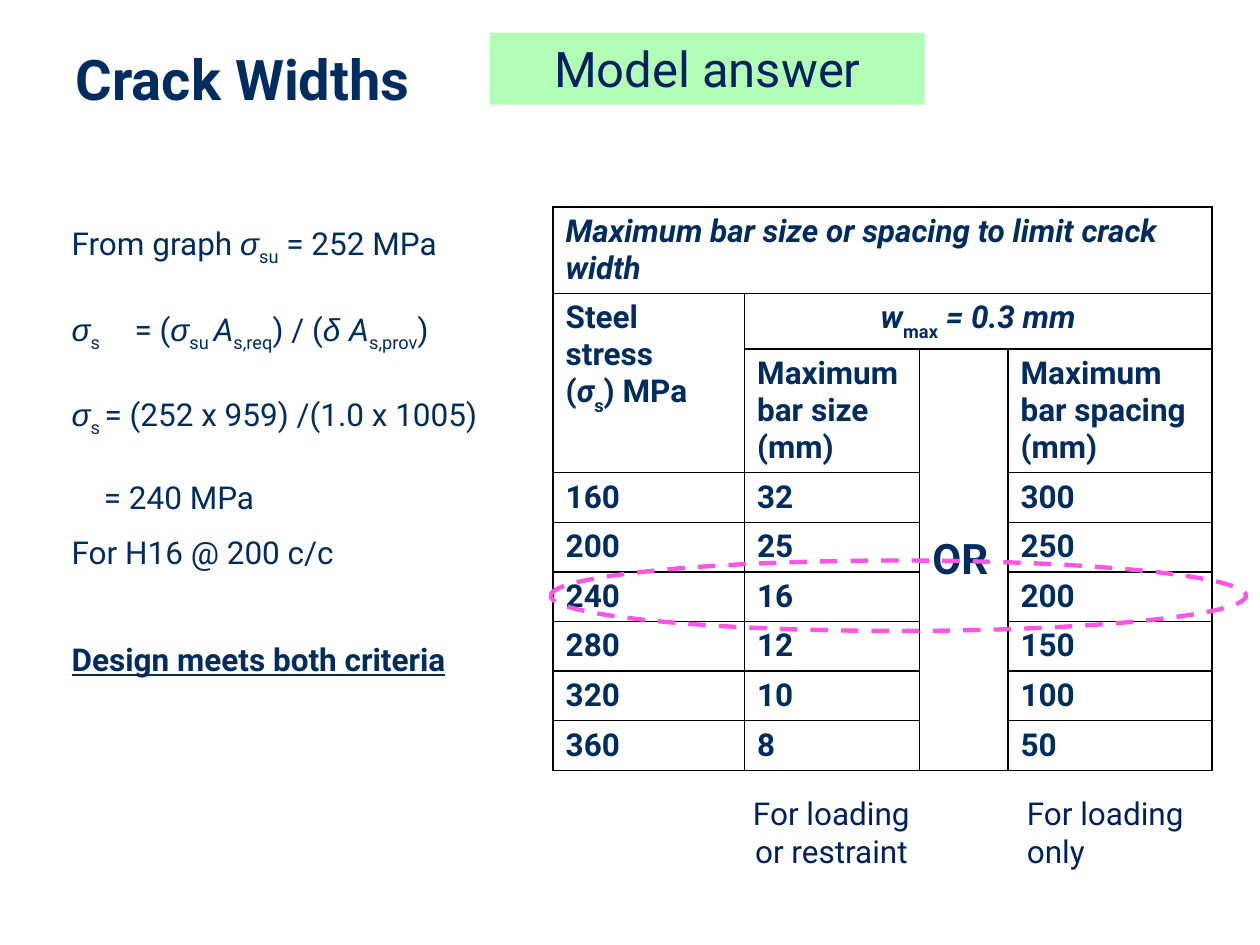
from lxml.etree import SubElement
from pptx import Presentation
from pptx.dml.color import RGBColor
from pptx.enum.dml import MSO_LINE as Dash
from pptx.enum.shapes import MSO_SHAPE as Shape
from pptx.enum.text import MSO_ANCHOR as Anchor, MSO_AUTO_SIZE as AutoSize, PP_ALIGN as Align
from pptx.oxml.ns import qn
from pptx.util import Cm, Pt

NAVY, BLUE, GREEN, PINK, BLACK = "002C5F", "002060", "B1FDB5", "FB55E3", "000000"
GREEK = {"font": "Arial", "italic": True}
ITALIC = {"italic": True}
SUB = {"baseline": -25}
LOW = {"baseline": -30}
LOW_ITALIC = {"baseline": -30, "italic": False}


def color(hex_string):
    return RGBColor.from_string(hex_string)


class SlideBuilder:
    """Holds the shared text style and the slide being filled."""

    font, size = "Roboto", 18

    def __init__(self, slide):
        self.slide = slide

    def add_runs(self, paragraph, runs, ink=NAVY, size=size, align=Align.LEFT, **common):
        """Add the runs, each a string or a (string, style) pair."""
        paragraph.alignment = align
        for item in [runs] if isinstance(runs, str) else runs:
            text, own = (item, {}) if isinstance(item, str) else item
            style = {**common, **own}
            run = paragraph.add_run()
            run.text = text
            run.font.name = style.get("font", self.font)
            run.font.size = Pt(size)
            run.font.color.rgb = color(ink)
            run.font.bold = style.get("bold", False)
            run.font.italic = style.get("italic", False)
            run.font.underline = style.get("underline", False)
            if "baseline" in style:
                run.font._element.set("baseline", str(style["baseline"] * 1000))

    def place(self, shape, left, top, width, height):
        shape.left, shape.top = Cm(left), Cm(top)
        shape.width, shape.height = Cm(width), Cm(height)
        frame = shape.text_frame
        frame.word_wrap, frame.auto_size = True, AutoSize.NONE
        frame.vertical_anchor = Anchor.TOP
        return frame

    def title(self, text, *box):
        frame = self.place(self.slide.shapes.title, *box)
        self.add_runs(frame.paragraphs[0], text, size=32, bold=True)

    def body(self, lines, *box):
        """Each line is (runs, line spacing, points before, left margin, tab, style)."""
        frame = self.place(self.slide.placeholders[1], *box)
        for number, (runs, spacing, before, margin, tab, style) in enumerate(lines):
            paragraph = frame.add_paragraph() if number else frame.paragraphs[0]
            paragraph.line_spacing, paragraph.space_before = spacing, Pt(before)
            props = paragraph._p.get_or_add_pPr()
            props.set("marL", str(Cm(margin)))
            props.set("indent", "0")
            SubElement(props, qn("a:buNone"))
            if tab:
                stops = SubElement(props, qn("a:tabLst"))
                SubElement(stops, qn("a:tab"), pos=str(Cm(tab)), algn="l")
            self.add_runs(paragraph, runs, **style)

    def caption(self, text, align, *box):
        frame = self.place(self.slide.shapes.add_textbox(0, 0, 0, 0), *box)
        self.add_runs(frame.paragraphs[0], text, ink=BLUE, align=align)

    def badge(self, text, *box):
        shape = self.slide.shapes.add_shape(Shape.RECTANGLE, 0, 0, 0, 0)
        frame = self.place(shape, *box)
        shape.shadow.inherit = False
        shape.fill.solid()
        shape.fill.fore_color.rgb = color(GREEN)
        shape.line.fill.background()
        self.add_runs(frame.paragraphs[0], text, ink=BLUE, size=28, align=Align.CENTER)

    def highlight(self, *box):
        ring = self.slide.shapes.add_shape(Shape.OVAL, *map(Cm, box))
        ring.shadow.inherit = False
        ring.fill.background()
        ring.line.color.rgb = color(PINK)
        ring.line.width = Pt(2.5)
        ring.line.dash_style = Dash.DASH

    def table(self, left, top, widths, heights):
        frame = self.slide.shapes.add_table(
            len(heights), len(widths), Cm(left), Cm(top), Cm(sum(widths)), Cm(sum(heights)))
        table = frame.table
        table.first_row = table.horz_banding = False
        for column, width in zip(table.columns, widths):
            column.width = Cm(width)
        for row, height in zip(table.rows, heights):
            row.height = Cm(height)
        for cell in table.iter_cells():
            self.border(cell)
            cell.fill.background()
        return table

    def border(self, cell):
        props = cell._tc.get_or_add_tcPr()
        for side in ("lnL", "lnR", "lnT", "lnB"):
            line = SubElement(props, qn(f"a:{side}"), w=str(Pt(1)))
            SubElement(SubElement(line, qn("a:solidFill")), qn("a:srgbClr"), val=BLACK)

    def cell(self, cell, *paragraphs, **style):
        frame = cell.text_frame
        for number, runs in enumerate(paragraphs):
            paragraph = frame.add_paragraph() if number else frame.paragraphs[0]
            self.add_runs(paragraph, runs, bold=True, **style)


def main():
    deck = Presentation()
    deck.slide_width, deck.slide_height = Cm(25.4), Cm(19.05)
    builder = SlideBuilder(deck.slides.add_slide(deck.slide_layouts[1]))

    # Heading
    builder.title("Crack Widths", 1.27, 0.76, 22.86, 1.42)

    # Worked calculation
    sigma = ("σ", GREEK)
    builder.body([
        (["From graph ", sigma, ("su", SUB), " = 252 MPa"], 1.5, 0, 0, None, {}),
        ([sigma, ("s \t", SUB), "= (", sigma, ("su ", SUB), ("A", ITALIC), ("s,req", SUB),
          ") / (", ("δ ", GREEK), ("A", ITALIC), ("s,prov", SUB), ")"], 1.5, 12, 0, 3.02, {}),
        ([sigma, ("s ", SUB), "= (252 x 959) /(1.0 x 1005)"], 1.5, 12, 0, None, {}),
        ("= 240 MPa", 1.5, 12, 0.65, None, {}),
        ("For H16 @ 200 c/c", 1, 10, 0, None, {}),
        ("Design meets both criteria", 1, 39.5, 0, None, {"bold": True, "underline": True}),
    ], 1.19, 3.96, 9.93, 12.01)

    # Limits table: headings
    limits = builder.table(11.15, 4.17, [3.86, 3.53, 1.78, 4.11], [1.73, 1.12, 2.49] + [1] * 6)
    for first, last in [((0, 0), (0, 3)), ((1, 0), (2, 0)), ((1, 1), (1, 3)), ((2, 2), (8, 2))]:
        limits.cell(*first).merge(limits.cell(*last))
    builder.cell(limits.cell(0, 0), "Maximum bar size or spacing to limit crack width", italic=True)
    builder.cell(limits.cell(1, 0), "Steel stress", ["(", ("σ", ITALIC), ("s", LOW), ") MPa"])
    builder.cell(limits.cell(1, 1), ["w", ("max", LOW_ITALIC), " = 0.3 mm"],
                 italic=True, align=Align.CENTER)
    builder.cell(limits.cell(2, 1), "Maximum bar size (mm)")
    builder.cell(limits.cell(2, 2), "OR", size=24)
    limits.cell(2, 2).vertical_anchor = Anchor.MIDDLE
    builder.cell(limits.cell(2, 3), "Maximum bar spacing (mm)")

    # Limits table: stress, bar size, bar spacing
    values = [(160, 32, 300), (200, 25, 250), (240, 16, 200),
              (280, 12, 150), (320, 10, 100), (360, 8, 50)]
    for row, numbers in enumerate(values, start=3):
        for column, number in zip((0, 1, 3), numbers):
            builder.cell(limits.cell(row, column), str(number))

    # Captions below the table
    builder.caption("For loading or restraint", Align.CENTER, 14.88, 15.88, 3.76, 1.78)
    builder.caption("For loading only", Align.LEFT, 20.45, 15.88, 3.76, 1.78)

    # Badge and the ring around the governing row
    builder.badge("Model answer", 9.88, 0.66, 8.76, 1.45)
    builder.highlight(11.1, 11.3, 14.02, 1.42)

    deck.save("out.pptx")


if __name__ == "__main__":
    main()
